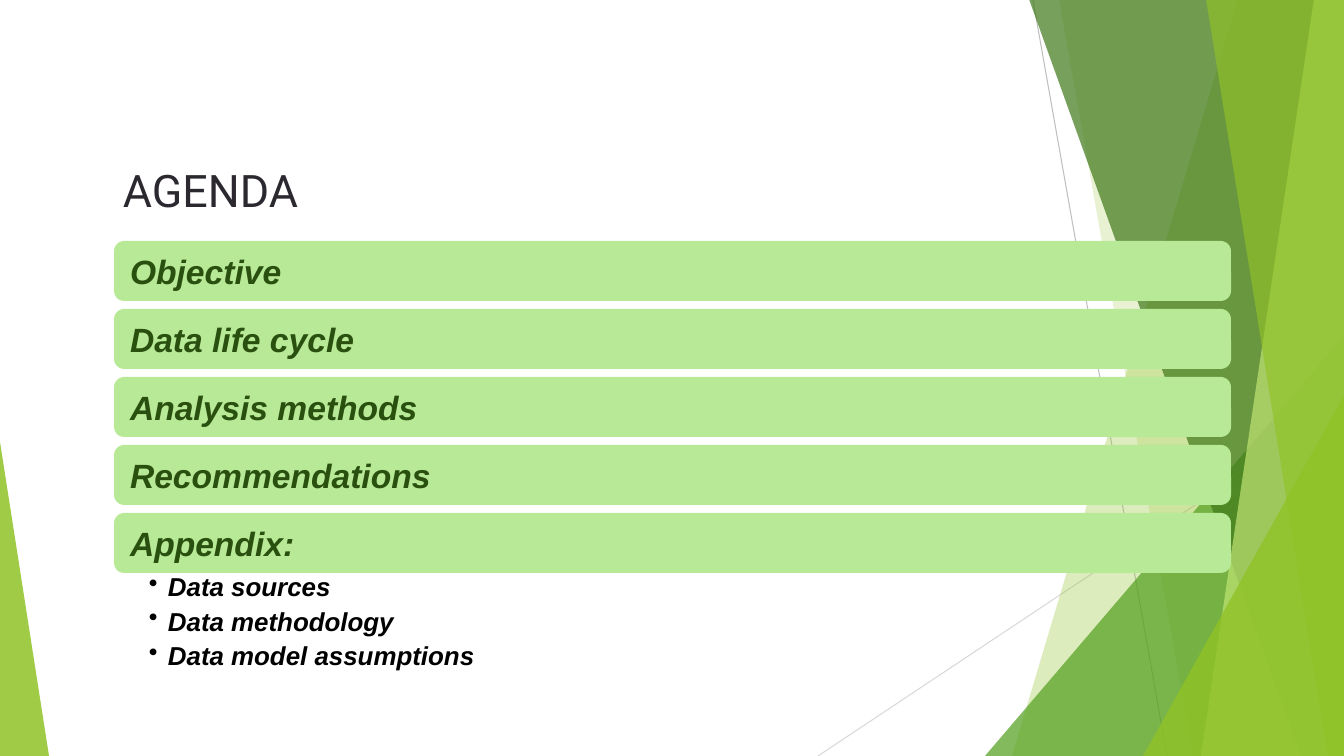
"""Build the agenda slide: five topic bars over a faceted green backdrop."""
from dataclasses import dataclass

from lxml.etree import SubElement as Sub
from pptx import Presentation
from pptx.dml.color import RGBColor as Rgb
from pptx.enum.shapes import MSO_CONNECTOR as Link, MSO_SHAPE as Kind
from pptx.enum.text import MSO_ANCHOR as Anchor, PP_ALIGN as Align
from pptx.oxml.ns import qn
from pptx.shapes.autoshape import Shape
from pptx.shapes.shapetree import SlideShapes as Shapes
from pptx.text.text import TextFrame as Frame, _Paragraph as Para
from pptx.util import Emu, Pt

WIDE, HIGH = 1344, 756
SCALE = 12192000 / WIDE


@dataclass(frozen=True)
class Theme:
    lime: str = "90C226"
    leaf: str = "54A021"
    moss: str = "3F7819"
    pale: str = "C0E474"
    bar: str = "B7E996"
    topic: str = "2A5010"
    title: str = "2C282F"
    ink: str = "000000"
    head: str = "Roboto"
    body: str = "Arial"
    big: float = 32
    mid: float = 24
    small: float = 18.5


@dataclass(frozen=True)
class Ray:
    start: tuple[int, int]
    end: tuple[int, int]
    color: str


@dataclass(frozen=True)
class Facet:
    top: int
    foot: int
    color: str
    alpha: int


@dataclass(frozen=True)
class Wedge:
    left: int
    top: int
    width: int
    apex: int
    color: str
    alpha: int


THEME = Theme()
RAYS = [
    Ray((1033, 0), (1167, HIGH), "BFBFBF"),
    Ray((WIDE, 406), (818, HIGH), "D9D9D9"),
]
DECOR = [
    Facet(1238, 1012, THEME.lime, 30),
    Facet(1059, 1193, THEME.lime, 20),
    Wedge(985, 336, 359, 1, THEME.leaf, 72),
    Facet(1029, 1301, THEME.moss, 70),
    Facet(1314, 1201, THEME.pale, 70),
    Facet(1206, 1328, THEME.lime, 65),
    Wedge(1143, 396, 201, 1, THEME.lime, 80),
    Wedge(0, 442, 49, 0, THEME.lime, 85),
]
TOPICS = ["Objective", "Data life cycle", "Analysis methods", "Recommendations", "Appendix:"]
EXTRAS = ["Data sources", "Data methodology", "Data model assumptions"]
BAR_TOP, BAR_STEP = 241, 68


def px(size: int) -> Emu:
    """Turn px into EMU."""
    return Emu(round(size * SCALE))


def paint(shape: Shape, color: str, alpha: int = 100) -> None:
    """Give a shape a flat fill without line or shadow."""
    shape.shadow.inherit = False
    shape.line.fill.background()
    shape.fill.solid()
    shape.fill.fore_color.rgb = Rgb.from_string(color)
    if alpha < 100:
        tint = shape.fill._xPr.find(".//" + qn("a:srgbClr"))
        Sub(tint, qn("a:alpha"), val=str(alpha * 1000))


def draw_ray(shapes: Shapes, ray: Ray) -> None:
    """Draw one thin backdrop line."""
    line = shapes.add_connector(Link.STRAIGHT, *map(px, ray.start + ray.end))
    line.line.color.rgb = Rgb.from_string(ray.color)
    line.line.width = Pt(0.75)
    Sub(line._element.spPr, qn("a:effectLst"))


def draw_decor(shapes: Shapes, part: Facet | Wedge) -> None:
    """Draw one translucent backdrop pane."""
    if isinstance(part, Facet):
        pen = shapes.build_freeform(part.top, -1, SCALE)
        pen.add_line_segments([(WIDE, -1), (WIDE, HIGH), (part.foot, HIGH)])
        shape = pen.convert_to_shape()
    else:
        box = (part.left, part.top, part.width, HIGH - part.top)
        shape = shapes.add_shape(Kind.ISOSCELES_TRIANGLE, *map(px, box))
        shape.adjustments[0] = part.apex
    paint(shape, part.color, part.alpha)


def clear(frame: Frame, left: int = 0, top: int = 0) -> None:
    """Set the insets and anchor the text at the top."""
    frame.margin_left, frame.margin_top = px(left), px(top)
    frame.margin_right = frame.margin_bottom = 0
    frame.vertical_anchor = Anchor.TOP
    frame.word_wrap = True


def write(para: Para, text: str, face: str, size: float, color: str, strong: bool = True) -> None:
    """Write one left-aligned paragraph."""
    para.text = text
    para.alignment = Align.LEFT
    font = para.font
    font.name, font.size = face, Pt(size)
    font.bold = font.italic = strong
    font.color.rgb = Rgb.from_string(color)


def draw_topic(shapes: Shapes, row: int, text: str) -> None:
    """Draw one agenda bar with its topic."""
    box = (114, BAR_TOP + row * BAR_STEP, 1117, 60)
    bar = shapes.add_shape(Kind.ROUNDED_RECTANGLE, *map(px, box))
    bar.adjustments[0] = 0.17
    paint(bar, THEME.bar)
    clear(bar.text_frame, 13, 7)
    write(bar.text_frame.paragraphs[0], text, THEME.body, THEME.mid, THEME.topic)


def add_text(shapes: Shapes, *box: int) -> Frame:
    """Add an empty text box without insets."""
    frame = shapes.add_textbox(*map(px, box)).text_frame
    clear(frame)
    return frame


def draw_extras(shapes: Shapes) -> None:
    """List the parts of the appendix."""
    frame = add_text(shapes, 126, 571, 437, 100)
    for row, text in enumerate(EXTRAS):
        para = frame.add_paragraph() if row else frame.paragraphs[0]
        props = para._p.get_or_add_pPr()
        props.set("marL", str(px(42)))
        props.set("indent", str(-px(19)))
        Sub(props, qn("a:buChar"), char="•")
        para.space_before = Pt(2.3 if row else 0)
        write(para, text, THEME.body, THEME.small, THEME.ink)


def main() -> None:
    """Build and save the slide."""
    deck = Presentation()
    deck.slide_width, deck.slide_height = px(WIDE), px(HIGH)
    shapes = deck.slides.add_slide(deck.slide_layouts[6]).shapes
    for ray in RAYS:
        draw_ray(shapes, ray)
    for part in DECOR:
        draw_decor(shapes, part)
    title = add_text(shapes, 123, 163, 197, 54)
    write(title.paragraphs[0], "AGENDA", THEME.head, THEME.big, THEME.title, False)
    for row, text in enumerate(TOPICS):
        draw_topic(shapes, row, text)
    draw_extras(shapes)
    deck.save("out.pptx")


if __name__ == "__main__":
    main()
